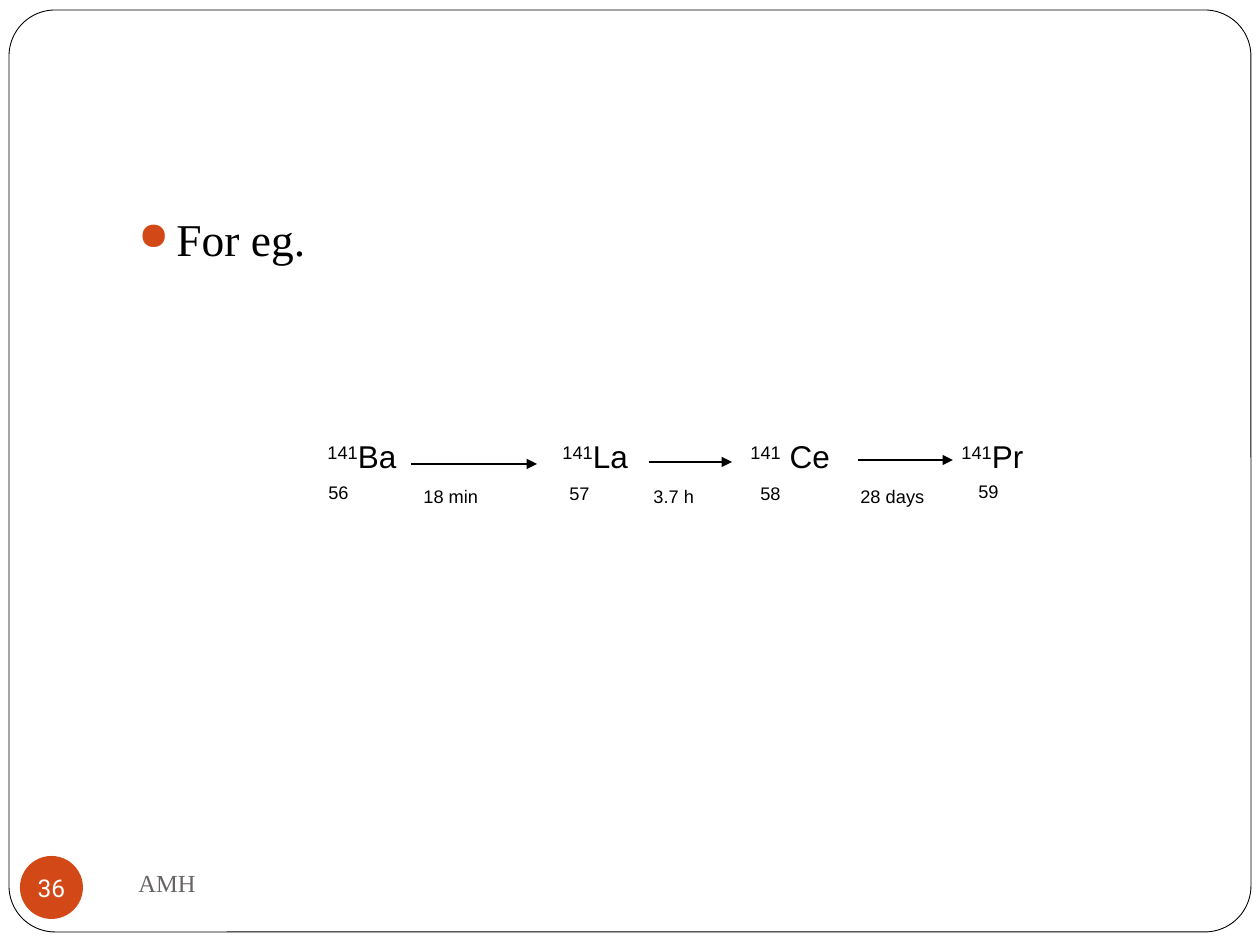
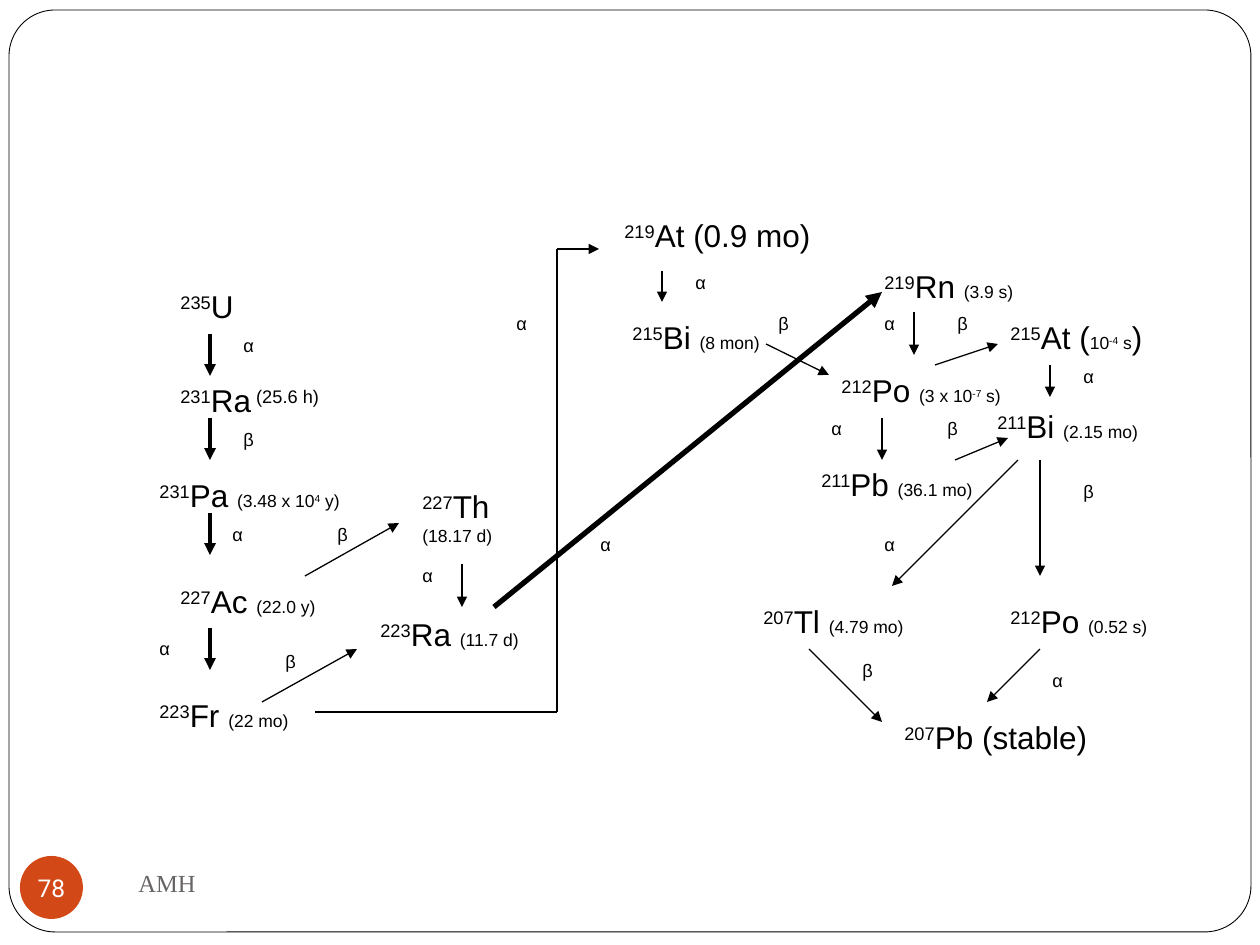
import pptx
import pptx.util
import pptx.dml.color
import pptx.enum.shapes
import pptx.enum.text
import pptx.oxml
import pptx.oxml.ns

PX_PER_INCH = 126
BLACK, WHITE, ORANGE, GREY = "000000", "FFFFFF", "D34817", "696464"
SANS, SERIF, NUMBER_FONT = "Arial", "Times New Roman", "Roboto"
FULL, SMALL = 18, 10
LINE_H = 50
ALPHA, BETA = "α", "β"
THIN, MEDIUM, THICK = 0.75, 2.25, 3
SHAPE = pptx.enum.shapes.MSO_SHAPE
MIDDLE = pptx.enum.text.MSO_ANCHOR.MIDDLE


def px(n):
    return pptx.util.Emu(round(n * 914400 / PX_PER_INCH))


def rgb(color):
    return pptx.dml.color.RGBColor.from_string(color)


def add_run(p, text, size=FULL, raised=False, font=SANS, color=BLACK):
    r = p.add_run()
    r.text = text
    r.font.size = pptx.util.Pt(size)
    r.font.name = font
    r.font.color.rgb = rgb(color)
    if raised:
        r._r.get_or_add_rPr().set("baseline", "30000")


def add_text_box(s, x, y, w, h):
    tf = s.shapes.add_textbox(px(x), px(y), px(w), px(h)).text_frame
    tf.word_wrap = True
    return tf


def add_preset(s, kind, x, y, w, h, fill):
    sp = s.shapes.add_shape(kind, px(x), px(y), px(w), px(h))
    sp.shadow.inherit = False
    sp.fill.solid()
    sp.fill.fore_color.rgb = rgb(fill)
    return sp


def add_line(s, x1, y1, x2, y2, width=THIN, arrow=True):
    line = s.shapes.add_connector(pptx.enum.shapes.MSO_CONNECTOR.STRAIGHT,
                                  px(x1), px(y1), px(x2), px(y2))
    line.line.color.rgb = rgb(BLACK)
    line.line.width = pptx.util.Pt(width)
    if arrow:
        tail = pptx.oxml.ns.qn("a:tailEnd")
        line.line._get_or_add_ln().makeelement(tail)
        end = pptx.oxml.parse_xml(
            f'<a:tailEnd {pptx.oxml.ns.nsdecls("a")} type="triangle"/>')
        line.line._get_or_add_ln().append(end)
    line._element.spPr.append(pptx.oxml.parse_xml(
        f'<a:effectLst {pptx.oxml.ns.nsdecls("a")}/>'))


def add_label(s, text, x, y, w=42):
    """Small raised label: decay type, half-life or atomic number."""
    tf = add_text_box(s, x, y, w, LINE_H)
    add_run(tf.paragraphs[0], text, raised=True)


def add_nuclide(s, x, y, w, mass, symbol, note="", h=LINE_H):
    """Mass number, symbol and small note; ^ marks switch raising in the note."""
    p = add_text_box(s, x, y, w, h).paragraphs[0]
    add_run(p, mass, raised=True)
    add_run(p, symbol)
    for i, part in enumerate(note.split("^")):
        if part:
            add_run(p, part, SMALL, raised=i % 2 == 1)
    return p


def add_bullet(s, text):
    tf = add_text_box(s, 126, 199, 1071, 630)
    tf.margin_top = px(12)
    p = tf.paragraphs[0]
    pPr = p._p.get_or_add_pPr()
    pPr.set("marL", str(px(38)))
    pPr.set("indent", str(-px(38)))
    ns = pptx.oxml.ns.nsdecls("a")
    for xml in (f'<a:buClr {ns}><a:srgbClr val="{ORANGE}"/></a:buClr>',
                f'<a:buSzPct {ns} val="85000"/>',
                f'<a:buChar {ns} char="●"/>'):
        pPr.append(pptx.oxml.parse_xml(xml))
    add_run(p, text, 26, font=SERIF)


def add_base_slide(prs, number):
    """Blank slide with the rounded frame, footer and page number."""
    s = prs.slides.add_slide(prs.slide_layouts[6])
    frame = add_preset(s, SHAPE.ROUNDED_RECTANGLE, 9, 10, 1242, 922, WHITE)
    frame.adjustments[0] = 0.05
    frame.line.color.rgb = rgb(BLACK)
    frame.line.width = pptx.util.Pt(0.5)

    tf = add_text_box(s, 126, 851, 546, 63)
    tf.vertical_anchor = MIDDLE
    add_run(tf.paragraphs[0], "AMH", 14, font=SERIF, color=GREY)

    badge = add_preset(s, SHAPE.OVAL, 20, 856, 63, 63, ORANGE)
    badge.line.fill.background()
    tf = badge.text_frame
    tf.margin_left = tf.margin_right = tf.margin_top = tf.margin_bottom = 0
    tf.word_wrap = False
    tf.vertical_anchor = MIDDLE
    p = tf.paragraphs[0]
    p.alignment = pptx.enum.text.PP_ALIGN.CENTER
    add_run(p, number, 14, font=NUMBER_FONT, color=WHITE)
    return s


def build_barium_chain(prs):
    s = add_base_slide(prs, "36")
    add_bullet(s, "For eg.")
    for x, symbol in ((315, "Ba"), (550, "La"), (738, " Ce"), (949, "Pr")):
        add_nuclide(s, x, 431, 120, "141", symbol)
    for number, x, y in (("56", 316, 471), ("57", 557, 472),
                         ("58", 748, 472), ("59", 966, 470)):
        add_label(s, number, x, y, 63)
    for half_life, x, w in (("18 min", 411, 105), ("3.7 h", 641, 105),
                            ("28 days", 848, 126)):
        add_label(s, half_life, x, 475, w)
    for x1, x2, y in ((411, 537, 464), (649, 732, 462), (858, 953, 460)):
        add_line(s, x1, y, x2, y)


def build_actinium_series(prs):
    s = add_base_slide(prs, "78")
    nuclides = (
        (168, 281, 105, "235", "U"),
        (147, 470, 231, "231", "Pa ", "(3.48 x 10^4^ y)"),
        (168, 576, 189, "227", "Ac ", "(22.0 y)"),
        (147, 690, 189, "223", "Fr ", "(22 mo)"),
        (612, 210, 228, "219", "At (0.9 mo)"),
        (410, 481, 116, "227", "Th ", "(18.17 d)", 72),
        (368, 609, 189, "223", "Ra ", "(11.7 d)"),
        (829, 365, 221, "212", "Po ", "(3 x 10^-7^ s)"),
        (620, 312, 168, "215", "Bi ", "(8 mon)"),
        (998, 596, 189, "212", "Po ", "(0.52 s)"),
        (872, 261, 179, "219", "Rn ", "(3.9 s)"),
        (809, 459, 199, "211", "Pb ", "(36.1 mo)"),
        (985, 401, 179, "211", "Bi ", "(2.15 mo)"),
        (751, 596, 189, "207", "Tl ", "(4.79 mo)"),
        (892, 712, 242, "207", "Pb (stable)"),
    )
    for nuclide in nuclides:
        add_nuclide(s, *nuclide)
    radium = add_nuclide(s, 168, 375, 179, "231", "Ra")
    add_run(radium, " (25.6 h)", raised=True)
    astatine = add_nuclide(s, 998, 312, 168, "215", "At (", "10^-4^ s")
    add_run(astatine, ")")

    for y in (334, 418, 513, 628):
        add_line(s, 210, y, 210, y + 42, MEDIUM)
    add_line(s, 494, 607, 882, 292, THICK)
    add_line(s, 315, 712, 557, 712, arrow=False)
    add_line(s, 557, 712, 557, 249, arrow=False)
    arrows = (
        (557, 249, 599, 249), (305, 576, 399, 523), (462, 564, 462, 607),
        (262, 702, 357, 649), (662, 271, 662, 302), (914, 312, 914, 355),
        (935, 365, 998, 344), (882, 418, 882, 460), (1050, 365, 1050, 397),
        (955, 460, 1008, 438), (1040, 460, 1040, 576), (1040, 649, 987, 702),
        (1018, 460, 892, 586), (809, 649, 882, 722), (766, 344, 829, 375),
    )
    for arrow in arrows:
        add_line(s, *arrow)

    decays = {
        ALPHA: ((231, 324), (220, 513), (147, 627), (410, 554), (588, 523),
                (504, 302), (683, 261), (872, 302), (819, 407), (1071, 355),
                (1040, 659), (872, 523)),
        BETA: ((231, 418), (325, 513), (273, 640), (766, 302), (945, 302),
               (935, 407), (1071, 470), (850, 649)),
    }
    for decay, places in decays.items():
        for x, y in places:
            add_label(s, decay, x, y)


def main():
    prs = pptx.Presentation()
    prs.slide_width, prs.slide_height = px(1260), px(945)
    build_barium_chain(prs)
    build_actinium_series(prs)
    prs.save("out.pptx")


if __name__ == "__main__":
    main()
